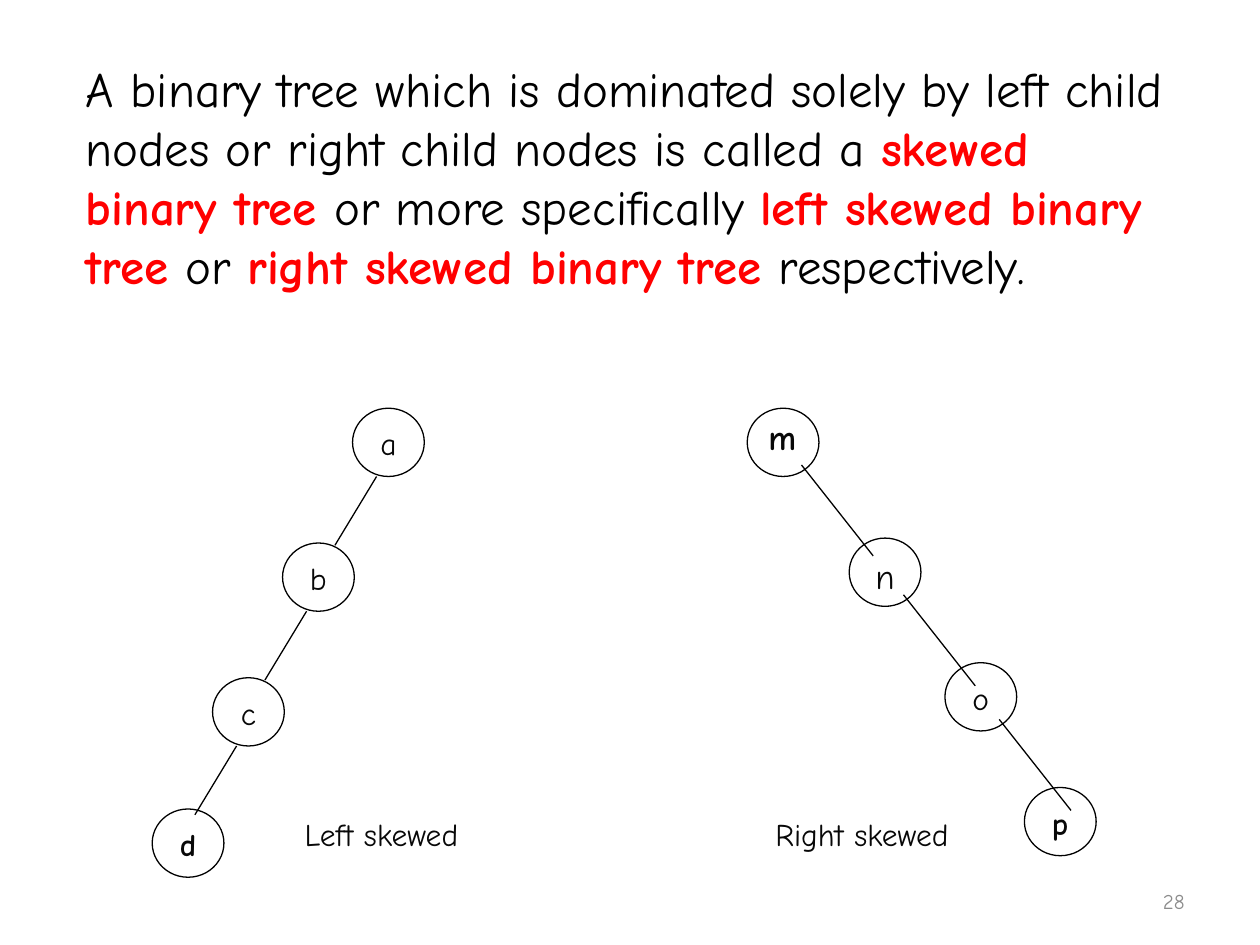
from lxml.etree import SubElement
from pptx import Presentation
from pptx.dml.color import RGBColor
from pptx.enum.shapes import MSO_CONNECTOR, MSO_SHAPE
from pptx.enum.text import MSO_ANCHOR, PP_ALIGN
from pptx.oxml.ns import qn
from pptx.util import Pt

FONT = "Comic Neue"
COLORS = {"black": "000000", "label": "080808", "key": "FF0000", "number": "8C8C8C"}
NODE_WIDTH, NODE_HEIGHT = 41, 39

DEFINITION = [
    ("A binary tree which is dominated solely by left child nodes or right child nodes is called a ", False),
    ("skewed binary tree ", True),
    ("or more specifically ", False),
    ("left skewed binary tree ", True),
    ("or ", False),
    ("right skewed binary tree ", True),
    ("respectively.", False),
]

# Nodes: letter, x, y, size, bold, and the letter's own box if it has one
LEFT_TREE = {
    "nodes": [
        ("a", 114.5, 0, 18, False, None),
        ("b", 74.5, 77, 18, False, None),
        ("c", 34.5, 154, 18, False, None),
        ("d", 0, 229, 18, True, None),
    ],
    "edge_start": (13.7, 39),
    "edge_step": (-23.8, 39.3),
    "caption": ("Left skewed", 55.5, 229, 151, 26),
}
RIGHT_TREE = {
    "nodes": [
        ("m", 0, 0, 20, True, (5, 0.7, 30, 31)),
        ("n", 58.3, 74.2, 20, False, None),
        ("o", 113, 145.4, 18, False, None),
        ("p", 158.4, 216.7, 18, True, (8.6, 5.8, 24, 29)),
    ],
    "edge_start": (31, 32.4),
    "edge_step": (41, 52),
    "caption": ("Right skewed", -10, 229, 151, 39),
}


def color(name):
    return RGBColor.from_string(COLORS[name])


def style_span(span, size, color_name, bold=False):
    span.font.name = FONT
    span.font.size = Pt(size)
    span.font.bold = bold
    span.font.color.rgb = color(color_name)


def write_line(frame, text, size, color_name="label", bold=False,
               align=PP_ALIGN.CENTER, anchor=MSO_ANCHOR.TOP):
    frame.text = text
    frame.word_wrap = True
    frame.vertical_anchor = anchor
    para = frame.paragraphs[0]
    para.alignment = align
    style_span(para.runs[0], size, color_name, bold)


def add_box(page, left, top, width, height):
    return page.shapes.add_textbox(Pt(left), Pt(top), Pt(width), Pt(height))


def add_definition(page, left, top, width, height):
    frame = add_box(page, left, top, width, height).text_frame
    frame.word_wrap = True
    para = frame.paragraphs[0]
    for text, is_key in DEFINITION:
        span = para.add_run()
        span.text = text
        style_span(span, 28, "key" if is_key else "black", is_key)


def add_edge(page, left, top, step):
    edge = page.shapes.add_connector(
        MSO_CONNECTOR.STRAIGHT, Pt(left), Pt(top), Pt(left + step[0]), Pt(top + step[1]))
    edge.line.color.rgb = color("black")
    edge.line.width = Pt(0.75)
    SubElement(edge._element.spPr, qn("a:effectLst"))


def add_node(page, left, top, letter, size, bold, letter_box):
    node = page.shapes.add_shape(
        MSO_SHAPE.OVAL, Pt(left), Pt(top), Pt(NODE_WIDTH), Pt(NODE_HEIGHT))
    node.shadow.inherit = False
    node.fill.background()
    node.line.color.rgb = color("black")
    node.line.width = Pt(0.75)
    if letter_box:
        x, y, width, height = letter_box
        box = add_box(page, left + x, top + y, width, height)
        write_line(box.text_frame, letter, size, bold=bold, align=PP_ALIGN.LEFT)
    else:
        write_line(node.text_frame, letter, size, bold=bold)


def add_tree(page, left, top, tree):
    """Draw a chain of nodes, an edge leaving each one but the last, and a caption."""
    start_x, start_y = tree["edge_start"]
    for letter, x, y, size, bold, letter_box in tree["nodes"]:
        add_node(page, left + x, top + y, letter, size, bold, letter_box)
    for _, x, y, *_ in tree["nodes"][:-1]:
        add_edge(page, left + x + start_x, top + y + start_y, tree["edge_step"])
    text, x, y, width, height = tree["caption"]
    caption = add_box(page, left + x, top + y, width, height)
    write_line(caption.text_frame, text, 18)


def add_page_number(page, left, top, width, height):
    box = add_box(page, left, top, width, height)
    write_line(box.text_frame, "28", 12, "number",
               align=PP_ALIGN.RIGHT, anchor=MSO_ANCHOR.MIDDLE)


def main():
    deck = Presentation()
    deck.slide_width, deck.slide_height = Pt(720), Pt(540)
    page = deck.slides.add_slide(deck.slide_layouts[6])
    add_definition(page, 42, 30, 636, 177)
    add_tree(page, 87, 233.3, LEFT_TREE)
    add_tree(page, 427, 233.3, RIGHT_TREE)
    add_page_number(page, 516, 500.5, 168, 28.75)
    deck.save("out.pptx")


if __name__ == "__main__":
    main()
